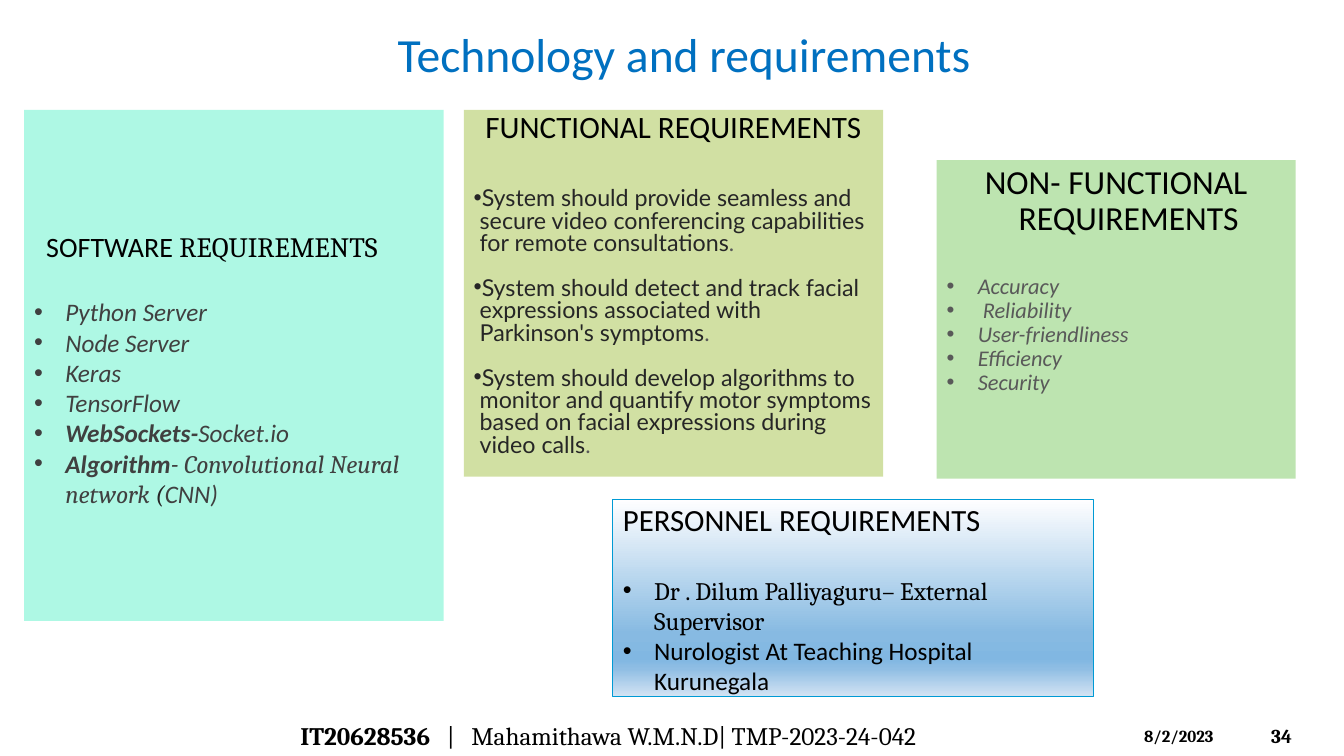
from lxml import etree
from pptx import Presentation
from pptx.dml.color import RGBColor
from pptx.enum.shapes import MSO_SHAPE
from pptx.enum.text import MSO_ANCHOR, PP_ALIGN
from pptx.oxml.ns import qn
from pptx.util import Inches, Pt

RECTANGLE = MSO_SHAPE.RECTANGLE
LEFT, CENTER = PP_ALIGN.LEFT, PP_ALIGN.CENTER
TOP, MIDDLE = MSO_ANCHOR.TOP, MSO_ANCHOR.MIDDLE
TITLE_ONLY = 5
SLIDE_SIZE = (13.33, 7.5)
SANS, SERIF, BODY = "Calibri", "Cambria", "Lato"
COLORS = {
    "title": "0070C0", "black": "000000", "dark": "262626",
    "charcoal": "404040", "gray": "595959", "mint": "5FF3CA",
    "olive": "A5C249", "green": "7CCA62", "outline": "009AD4",
}
PERSONNEL_GRADIENT = [(0, "FEFEFF"), (68, "87BAE2"), (81, "81B7E2"),
                      (86, "90BEE4"), (100, "D3E3F3")]

# A run is (text, font, color, bold).
TITLE = ("Technology and requirements", SANS, "title", False)


def plain(*texts, font=SANS, color="black"):
    """Items that each hold a single run."""
    return [[(text, font, color, False)] for text in texts]


FUNCTIONS = [
    "System should provide seamless and secure video conferencing capabilities for remote consultations",
    "System should detect and track facial expressions associated with Parkinson's symptoms",
    "System should develop algorithms to monitor and quantify motor symptoms based on facial expressions during video calls",
]

# Indents are (left, first line) in inches; gaps are in points.
PANELS = [
    {
        "box": (0.24, 1.09, 4.16, 5.07), "fill": "mint", "anchor": MIDDLE,
        "margin_top": 0.12, "spacing": 1.0,
        "heading": [("SOFTWARE ", SANS, "black", False),
                    ("REQUIREMENTS", SERIF, "black", False)],
        "heading_size": 20, "heading_align": LEFT, "heading_indent": (0.12, 0),
        "heading_gap": 24,
        "items": plain("Python Server", "Node Server", "Keras", "TensorFlow",
                       color="charcoal") + [
            [("WebSockets-", SANS, "charcoal", True),
             ("Socket.io", SANS, "charcoal", False)],
            [("Algorithm", SANS, "charcoal", True),
             ("- ", SANS, "charcoal", False),
             ("Convolutional Neural network ", SERIF, "charcoal", False),
             ("(", SERIF, "dark", False),
             ("CNN)", SANS, "charcoal", False)],
        ],
        "item_size": 18, "item_indent": (0.31, -0.31), "item_gap": 0,
        "italic": True,
    },
    {
        "box": (4.6, 1.09, 4.16, 3.64), "fill": "olive", "anchor": TOP,
        "margin_top": 0.05, "spacing": 0.8,
        "heading": [("FUNCTIONAL REQUIREMENTS", SANS, "black", False)],
        "heading_size": 22.2, "heading_align": CENTER,
        "heading_indent": (0.25, -0.25), "heading_gap": 31.7,
        "items": [[(text, BODY, "dark", False), (".", SANS, "gray", False)]
                  for text in FUNCTIONS],
        "item_size": 16.6, "item_indent": (0.06, -0.06), "item_gap": 16.2,
        "italic": False,
    },
    {
        "box": (9.29, 1.59, 3.56, 3.16), "fill": "green", "anchor": TOP,
        "margin_top": 0.05, "spacing": 0.9,
        "heading": [("NON- FUNCTIONAL REQUIREMENTS", SANS, "black", False)],
        "heading_size": 24, "heading_align": CENTER,
        "heading_indent": (0.25, -0.25), "heading_gap": 26.4,
        "items": plain("Accuracy", " Reliability", "User-friendliness",
                       "Efficiency", "Security", color="gray"),
        "item_size": 16, "item_indent": (0.31, -0.31), "item_gap": 0,
        "italic": True,
    },
    {
        "box": (6.08, 4.96, 4.77, 1.95), "fill": None, "anchor": MIDDLE,
        "margin_top": 0.05, "spacing": 1.0,
        "heading": [("PERSONNEL REQUIREMENTS", SANS, "black", False)],
        "heading_size": 22, "heading_align": LEFT, "heading_indent": (0, 0),
        "heading_gap": 26.8,
        "items": plain("Dr . Dilum Palliyaguru– External Supervisor", font=SERIF)
        + plain("Nurologist At Teaching Hospital Kurunegala"),
        "item_size": 18, "item_indent": (0.31, -0.31), "item_gap": 0,
        "italic": False,
    },
]

# (box, size, runs)
FOOTER = [
    ((2.88, 7.1, 7.45, 0.4), 18,
     [("IT20628536", SERIF, "black", True),
      ("   |   Mahamithawa W.M.N.D| TMP-2023-24-042", SERIF, "black", False)]),
    ((11.25, 7.15, 1.17, 0.3), 12, [("8/2/2023", SERIF, "black", True)]),
    ((12.51, 7.1, 0.74, 0.4), 14, [("34", SERIF, "black", True)]),
]


def inches(box):
    return [Inches(length) for length in box]


def add_runs(paragraph, runs, size, italic=False):
    for text, font, color, bold in runs:
        run = paragraph.add_run()
        run.text = text
        run.font.name = font
        run.font.size = Pt(size)
        run.font.bold = bold
        run.font.italic = italic
        run.font.color.rgb = RGBColor.from_string(COLORS[color])


def format_paragraph(paragraph, indent, spacing, gap, align=LEFT, bullet=False):
    paragraph.alignment = align
    paragraph.line_spacing = spacing
    paragraph.space_before = Pt(0)
    paragraph.space_after = Pt(gap)
    properties = paragraph._p.get_or_add_pPr()
    left, first = indent
    properties.set("marL", str(Inches(left)))
    properties.set("indent", str(Inches(first)))
    if bullet:
        etree.SubElement(properties, qn("a:buFont"), typeface="Arial")
        etree.SubElement(properties, qn("a:buChar"), char="•")


def fill_half_transparent(shape, color):
    shape.fill.solid()
    shape.fill.fore_color.rgb = RGBColor.from_string(COLORS[color])
    color_element = shape._element.spPr.find(qn("a:solidFill")).find(qn("a:srgbClr"))
    etree.SubElement(color_element, qn("a:alpha"), val="50000")
    shape.line.fill.background()


def fill_gradient(shape):
    shape.fill.gradient()
    shape.fill.gradient_angle = 270
    stops = shape._element.spPr.find(qn("a:gradFill")).find(qn("a:gsLst"))
    for stop in list(stops):
        stops.remove(stop)
    for percent, color in PERSONNEL_GRADIENT:
        stop = etree.SubElement(stops, qn("a:gs"), pos=str(percent * 1000))
        etree.SubElement(stop, qn("a:srgbClr"), val=color)
    shape.line.color.rgb = RGBColor.from_string(COLORS["outline"])
    shape.line.width = Pt(0.75)


def add_panel(slide, panel):
    shape = slide.shapes.add_shape(RECTANGLE, *inches(panel["box"]))
    shape.shadow.inherit = False
    if panel["fill"]:
        fill_half_transparent(shape, panel["fill"])
    else:
        fill_gradient(shape)
    frame = shape.text_frame
    frame.word_wrap = True
    frame.vertical_anchor = panel["anchor"]
    frame.margin_top = Inches(panel["margin_top"])
    heading = frame.paragraphs[0]
    format_paragraph(heading, panel["heading_indent"], panel["spacing"],
                     panel["heading_gap"], panel["heading_align"])
    add_runs(heading, panel["heading"], panel["heading_size"])
    last = len(panel["items"]) - 1
    for index, runs in enumerate(panel["items"]):
        paragraph = frame.add_paragraph()
        gap = panel["item_gap"] if index < last else 0
        format_paragraph(paragraph, panel["item_indent"], panel["spacing"],
                         gap, bullet=True)
        add_runs(paragraph, runs, panel["item_size"], panel["italic"])


def main():
    presentation = Presentation()
    presentation.slide_width, presentation.slide_height = inches(SLIDE_SIZE)
    slide = presentation.slides.add_slide(presentation.slide_layouts[TITLE_ONLY])

    title = slide.shapes.title
    title.left, title.top, title.width, title.height = inches((3.17, 0.13, 7.23, 1.36))
    title.text_frame.vertical_anchor = TOP
    title.text_frame.margin_top = Inches(0.12)
    title.text_frame.paragraphs[0].alignment = CENTER
    add_runs(title.text_frame.paragraphs[0], [TITLE], 34)

    for panel in PANELS:
        add_panel(slide, panel)

    for box, size, runs in FOOTER:
        frame = slide.shapes.add_textbox(*inches(box)).text_frame
        frame.word_wrap = True
        frame.vertical_anchor = MIDDLE
        add_runs(frame.paragraphs[0], runs, size)

    presentation.save("out.pptx")


if __name__ == "__main__":
    main()
